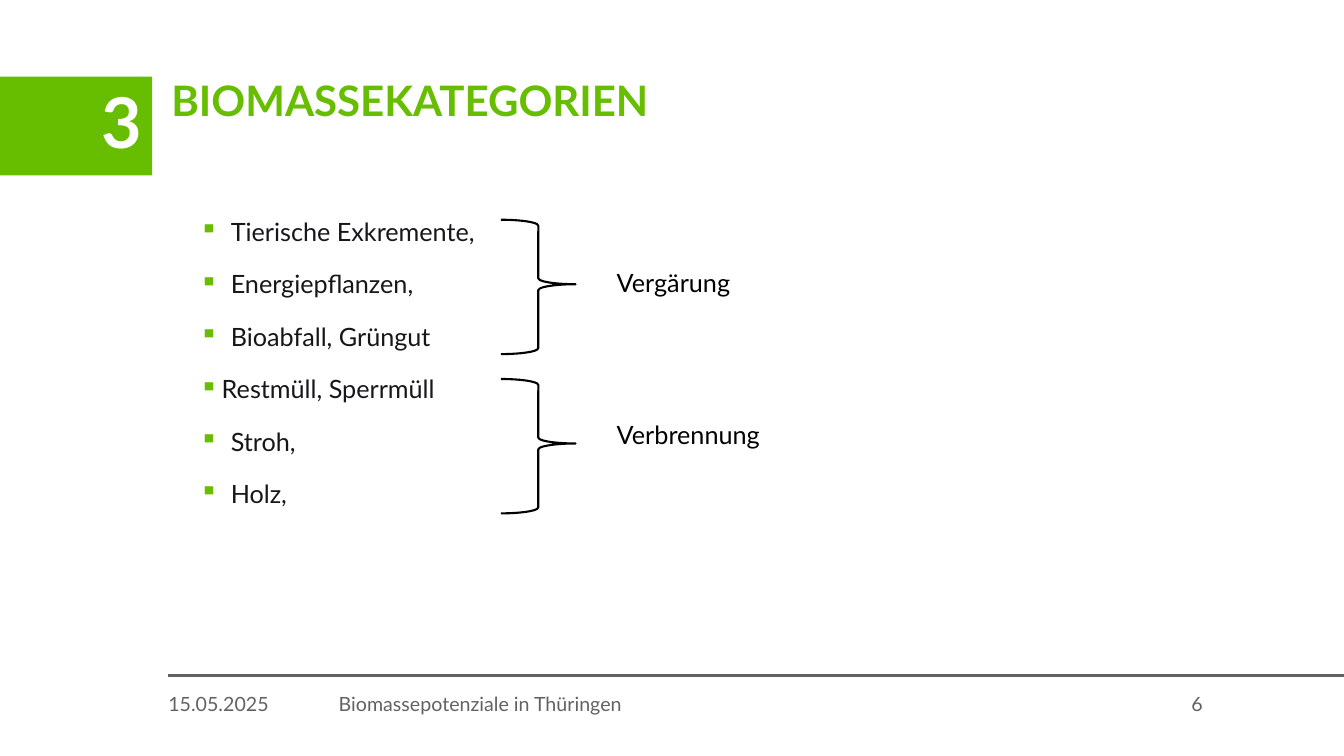
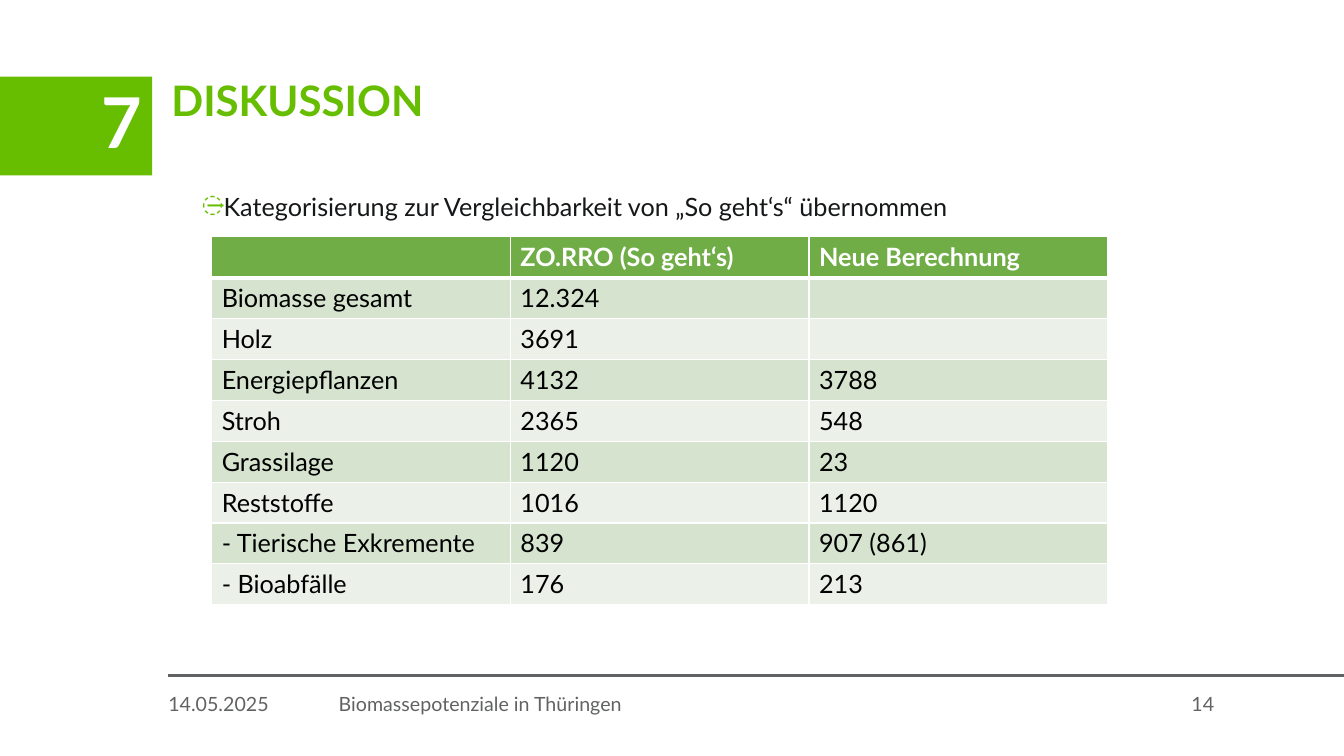
from dataclasses import dataclass

from lxml import etree
from pptx import Presentation
from pptx.dml.color import RGBColor
from pptx.enum.shapes import MSO_CONNECTOR, MSO_SHAPE
from pptx.enum.text import MSO_ANCHOR, MSO_AUTO_SIZE, PP_ALIGN
from pptx.oxml.ns import qn
from pptx.util import Inches, Pt

LEFT, RIGHT = PP_ALIGN.LEFT, PP_ALIGN.RIGHT
TOP, MIDDLE = MSO_ANCHOR.TOP, MSO_ANCHOR.MIDDLE
FIXED_SIZE = MSO_AUTO_SIZE.NONE
RECTANGLE, BRACE = MSO_SHAPE.RECTANGLE, MSO_SHAPE.RIGHT_BRACE
STRAIGHT = MSO_CONNECTOR.STRAIGHT

# The page is a grid of 80 columns and 45 rows
COLUMNS, ROWS = 80, 45


@dataclass(frozen=True)
class Theme:
    font: str = "Lato"
    green: str = "67BD00"
    grey: str = "616263"
    ink: str = "151718"
    black: str = "000000"
    white: str = "FFFFFF"
    table_head: str = "70AD47"
    bands: tuple = ("D5E3CF", "EBF1E9")
    number_size: int = 50
    title_size: int = 30
    body_size: int = 18
    footer_size: int = 14
    line_spacing: float = 0.9


class Deck:
    """Holds the style and the current page; positions are grid units."""

    def __init__(self, theme):
        self.theme = theme
        self.deck = Presentation()
        self.deck.slide_width = Inches(13.33)
        self.deck.slide_height = Inches(7.5)
        self.page = None

    def x(self, columns):
        return round(self.deck.slide_width * columns / COLUMNS)

    def y(self, rows):
        return round(self.deck.slide_height * rows / ROWS)

    def place(self, column, row, width, height):
        return self.x(column), self.y(row), self.x(width), self.y(height)

    def style(self, para, size, color, bold=False, align=LEFT):
        para.alignment = align
        font = para.font
        font.name, font.size, font.bold = self.theme.font, Pt(size), bold
        font.color.rgb = RGBColor.from_string(color)

    def frame(self, shape, inset=True):
        frame = shape.text_frame
        frame.word_wrap = True
        frame.auto_size = FIXED_SIZE
        frame.vertical_anchor = TOP
        if not inset:
            frame.margin_left = frame.margin_right = 0
            frame.margin_top = frame.margin_bottom = 0
        return frame

    def add_page(self, chapter, title, date, number):
        theme = self.theme
        self.page = self.deck.slides.add_slide(self.deck.slide_layouts[5])

        # Title and chapter number
        heading = self.page.shapes.title
        heading.left, heading.top, heading.width, heading.height = self.place(
            10.2, 4.8, 59.8, 3.2)
        para = self.frame(heading, inset=False).paragraphs[0]
        para.text = title
        para.line_spacing = theme.line_spacing
        self.style(para, theme.title_size, theme.green, bold=True)
        self.chapter_block(chapter)

        # Footer
        self.rule(10, COLUMNS, 40.2)
        for text, column, width in ((date, 10.02, 9.18),
                                    ("Biomassepotenziale in Thüringen", 20.16, 27),
                                    (number, 70.92, 6.84)):
            self.text(text, (column, 41.16, width, 2.4),
                      theme.footer_size, theme.grey, inset=False)

    def chapter_block(self, chapter):
        theme = self.theme
        block = self.page.shapes.add_shape(
            RECTANGLE, *self.place(0, 4.56, 9.06, 5.88))
        block.shadow.inherit = False
        block.fill.solid()
        block.fill.fore_color.rgb = RGBColor.from_string(theme.green)
        block.line.fill.background()
        frame = self.frame(block)
        frame.vertical_anchor = MIDDLE
        para = frame.paragraphs[0]
        para.text = chapter
        para.line_spacing = theme.line_spacing
        self.style(para, theme.number_size, theme.white, bold=True, align=RIGHT)

    def rule(self, start, end, row):
        line = self.page.shapes.add_connector(
            STRAIGHT, self.x(start), self.y(row), self.x(end), self.y(row))
        line.line.color.rgb = RGBColor.from_string(self.theme.grey)
        line.line.width = Pt(2)
        etree.SubElement(line._element.spPr, qn("a:effectLst"))

    def text(self, text, area, size, color, inset=True):
        box = self.page.shapes.add_textbox(*self.place(*area))
        para = self.frame(box, inset).paragraphs[0]
        para.text = text
        self.style(para, size, color)

    def bullets(self, items, area, mark):
        """Each item is a text with its hanging indent in columns."""
        theme = self.theme
        box = self.page.shapes.add_textbox(*self.place(*area))
        frame = self.frame(box, inset=False)
        for index, (text, indent) in enumerate(items):
            para = frame.add_paragraph() if index else frame.paragraphs[0]
            para.text = text
            props = para._p.get_or_add_pPr()
            props.set("marL", str(self.x(indent)))
            props.set("indent", str(-self.x(indent)))
            color = etree.SubElement(props, qn("a:buClr"))
            etree.SubElement(color, qn("a:srgbClr"), val=theme.green)
            etree.SubElement(props, qn("a:buChar"), char=mark)
            para.line_spacing = theme.line_spacing
            if index:
                para.space_before = Pt(18)
            self.style(para, theme.body_size, theme.ink)

    def brace(self, area):
        brace = self.page.shapes.add_shape(BRACE, *self.place(*area))
        brace.shadow.inherit = False
        brace.adjustments[0], brace.adjustments[1] = 0.08, 0.48
        brace.fill.background()
        brace.line.color.rgb = RGBColor.from_string(self.theme.black)
        brace.line.width = Pt(1.5)

    def table(self, rows, area):
        theme = self.theme
        grid = self.page.shapes.add_table(
            len(rows), len(rows[0]), *self.place(*area)).table
        for r, row in enumerate(rows):
            head = r == 0
            fill = theme.table_head if head else theme.bands[(r - 1) % 2]
            for c, text in enumerate(row):
                cell = grid.cell(r, c)
                cell.fill.solid()
                cell.fill.fore_color.rgb = RGBColor.from_string(fill)
                self.borders(cell, top=3 if r == 1 else 1, bottom=3 if head else 1)
                para = cell.text_frame.paragraphs[0]
                para.text = text
                self.style(para, theme.body_size,
                           theme.white if head else theme.black, bold=head)

    def borders(self, cell, top, bottom):
        props = cell._tc.get_or_add_tcPr()
        widths = (("a:lnL", 1), ("a:lnR", 1), ("a:lnT", top), ("a:lnB", bottom))
        for index, (tag, width) in enumerate(widths):
            line = etree.Element(qn(tag), w=str(Pt(width)))
            fill = etree.SubElement(line, qn("a:solidFill"))
            etree.SubElement(fill, qn("a:srgbClr"), val=self.theme.white)
            props.insert(index, line)


def categories_page(deck):
    deck.add_page("3", "BIOMASSEKATEGORIEN", "15.05.2025", "6")
    deck.bullets((("Tierische Exkremente,", 1.86),
                  ("Energiepflanzen,", 1.86),
                  ("Bioabfall, Grüngut", 1.86),
                  ("Restmüll, Sperrmüll", 1.32),
                  ("Stroh,", 1.86),
                  ("Holz,", 1.86)), (11.88, 13.08, 59, 28), "▪")

    # Braces with the use of each group
    for label, brace_row, label_row in (("Vergärung", 13.08, 15.6),
                                        ("Verbrennung", 22.56, 24.66)):
        deck.brace((29.82, brace_row, 4.44, 8))
        deck.text(label, (36.12, label_row, 17.1, 2.4),
                  deck.theme.body_size, deck.theme.black)


def discussion_page(deck):
    deck.add_page("7", "DISKUSSION", "14.05.2025", "14")
    deck.bullets((("Kategorisierung zur Vergleichbarkeit von "
                   "„So geht‘s“ übernommen", 0.96),), (12, 11.58, 58, 2.2), "̶")
    deck.table((("", "ZO.RRO (So geht‘s)", "Neue Berechnung"),
                ("Biomasse gesamt", "12.324", ""),
                ("Holz", "3691", ""),
                ("Energiepflanzen", "4132", "3788"),
                ("Stroh", "2365", "548"),
                ("Grassilage", "1120", "23"),
                ("Reststoffe", "1016", "1120"),
                ("- Tierische Exkremente", "839", "907 (861)"),
                ("- Bioabfälle", "176", "213")), (12.6, 14.1, 53.34, 21.9))


def main():
    deck = Deck(Theme())
    categories_page(deck)
    discussion_page(deck)
    deck.deck.save("out.pptx")


if __name__ == "__main__":
    main()
